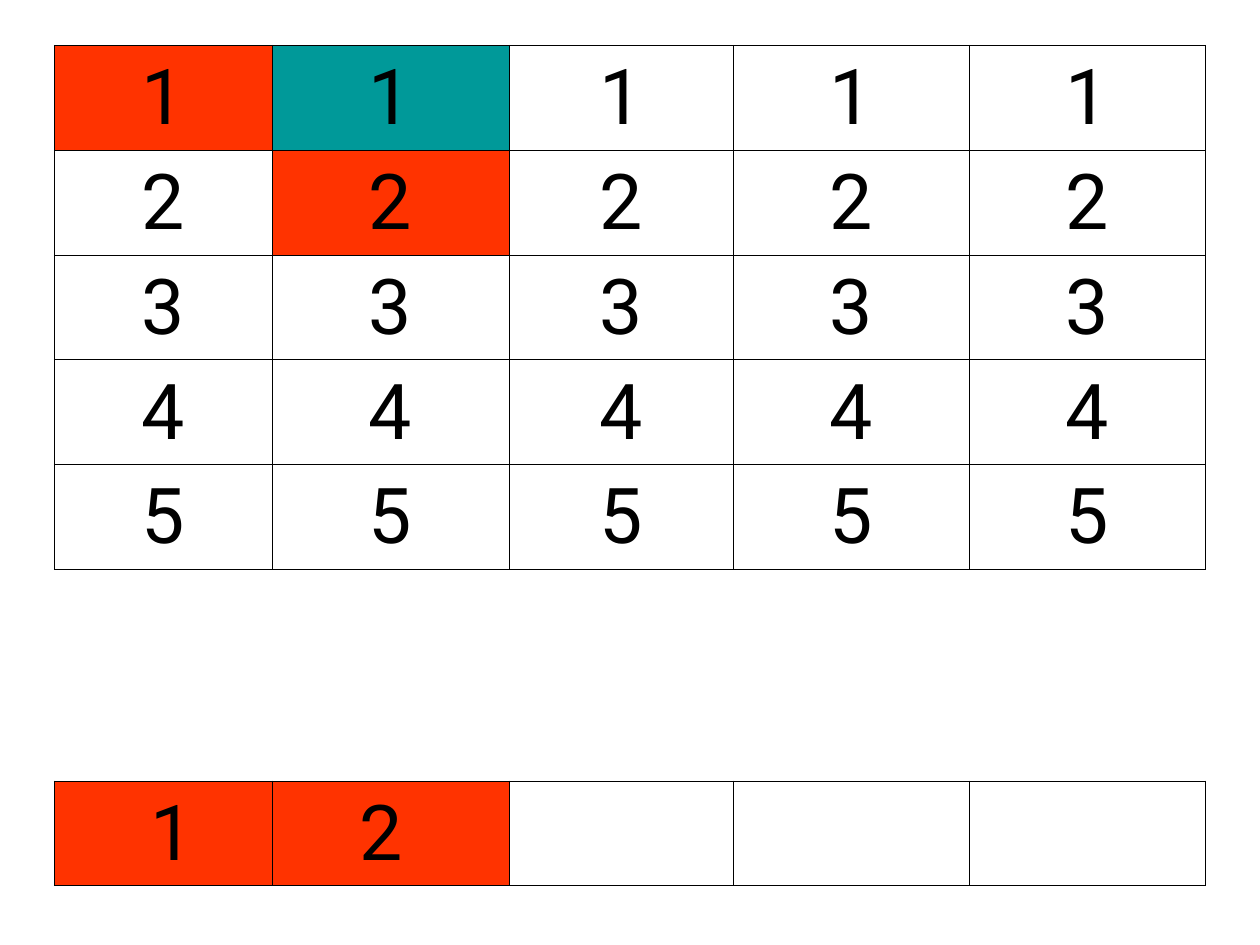
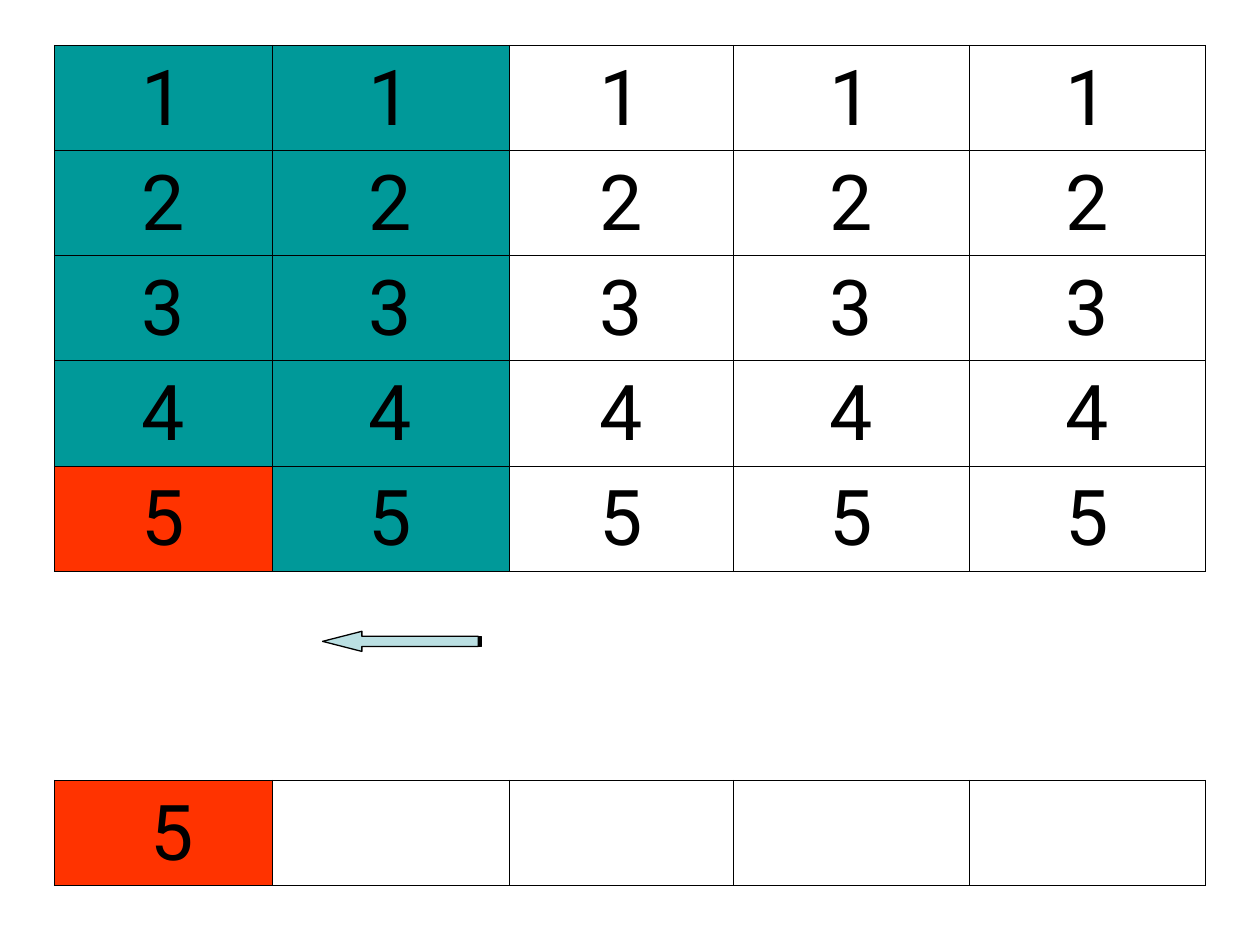
from lxml import etree
from pptx import Presentation
from pptx import util as u
from pptx.dml.color import RGBColor
from pptx.enum import shapes, text
from pptx.oxml import ns

NUMBERS = ["1", "2", "3", "4", "5"]

STEPS = [
    {
        "gap": 1.68,
        "marks": ["RT...", ".R...", ".....", ".....", "....."],
        "answer": ["1", "2", "", "", ""],
        "nudges": [(0.15, 0), (0, 0.15)],
        "arrow": None,
    },
    {
        "gap": 1.66,
        "marks": ["TT...", "TT...", "TT...", "TT...", "RT..."],
        "answer": ["5", "", "", "", ""],
        "nudges": [(0.15, 0)],
        "arrow": (2.56, 5.01, 1.26, 0.16),
    },
]

BLACK = RGBColor(0x00, 0x00, 0x00)
WHITE = RGBColor(0xFF, 0xFF, 0xFF)
RED = RGBColor(0xFF, 0x33, 0x00)
TEAL = RGBColor(0x00, 0x99, 0x99)
PALE_BLUE = RGBColor(0xBB, 0xE0, 0xE3)
FILLS = {"R": RED, "T": TEAL, ".": WHITE}

FONT = "Roboto"
DIGIT_SIZE = u.Pt(44)
BORDER = u.Pt(0.45)
LEFT, TOP, HEIGHT = 0.43, 0.36, 6.67
COLUMNS = [1.73, 1.88, 1.78, 1.87, 1.88]
GAP_ROW = len(NUMBERS)
ANSWER_ROW = GAP_ROW + 1


def set_borders(cell, drawn):
    properties = cell._tc.get_or_add_tcPr()
    for side in "LRTB":
        line = etree.SubElement(properties, ns.qn(f"a:ln{side}"), w=str(BORDER))
        if side in drawn:
            solid = etree.SubElement(line, ns.qn("a:solidFill"))
            etree.SubElement(solid, ns.qn("a:srgbClr"), val=str(BLACK))
        else:
            etree.SubElement(line, ns.qn("a:noFill"))


def fill_cell(cell, digit, color, nudge=(0, 0)):
    set_borders(cell, "LRTB")
    cell.fill.solid()
    cell.fill.fore_color.rgb = color
    cell.vertical_anchor = text.MSO_ANCHOR.BOTTOM
    cell.margin_left, cell.margin_right = (u.Inches(0.1 + extra) for extra in nudge)
    if digit:
        cell.text = digit
        paragraph = cell.text_frame.paragraphs[0]
        paragraph.alignment = text.PP_ALIGN.CENTER
        paragraph.font.name = FONT
        paragraph.font.size = DIGIT_SIZE
        paragraph.font.color.rgb = BLACK


def add_board(slide, step):
    frame = slide.shapes.add_table(
        ANSWER_ROW + 1, len(COLUMNS), u.Inches(LEFT), u.Inches(TOP),
        u.Inches(sum(COLUMNS)), u.Inches(HEIGHT))
    board = frame.table
    board.first_row = board.horz_banding = False
    for column, width in zip(board.columns, COLUMNS):
        column.width = u.Inches(width)
    digit_height = (HEIGHT - step["gap"]) / (len(NUMBERS) + 1)
    for index, row in enumerate(board.rows):
        row.height = u.Inches(step["gap"] if index == GAP_ROW else digit_height)

    for row, (number, marks) in enumerate(zip(NUMBERS, step["marks"])):
        for column, mark in enumerate(marks):
            fill_cell(board.cell(row, column), number, FILLS[mark])
    for column, digit in enumerate(step["answer"]):
        gap_cell = board.cell(GAP_ROW, column)
        set_borders(gap_cell, "TB")
        gap_cell.fill.background()
        nudge = step["nudges"][column] if digit else (0, 0)
        fill_cell(board.cell(ANSWER_ROW, column), digit, RED if digit else WHITE, nudge)


def add_back_arrow(slide, place):
    arrow = slide.shapes.add_shape(
        shapes.MSO_SHAPE.STRIPED_RIGHT_ARROW, *map(u.Inches, place))
    arrow.rotation = 180
    arrow.adjustments[0] = 0.5
    arrow.adjustments[1] = 1.95
    arrow.shadow.inherit = False
    arrow.fill.solid()
    arrow.fill.fore_color.rgb = PALE_BLUE
    arrow.line.color.rgb = BLACK
    arrow.line.width = u.Pt(0.75)


def main():
    deck = Presentation()
    deck.slide_width, deck.slide_height = u.Inches(10), u.Inches(7.5)
    for step in STEPS:
        slide = deck.slides.add_slide(deck.slide_layouts[6])
        add_board(slide, step)
        if step["arrow"]:
            add_back_arrow(slide, step["arrow"])
    deck.save("out.pptx")


if __name__ == "__main__":
    main()
